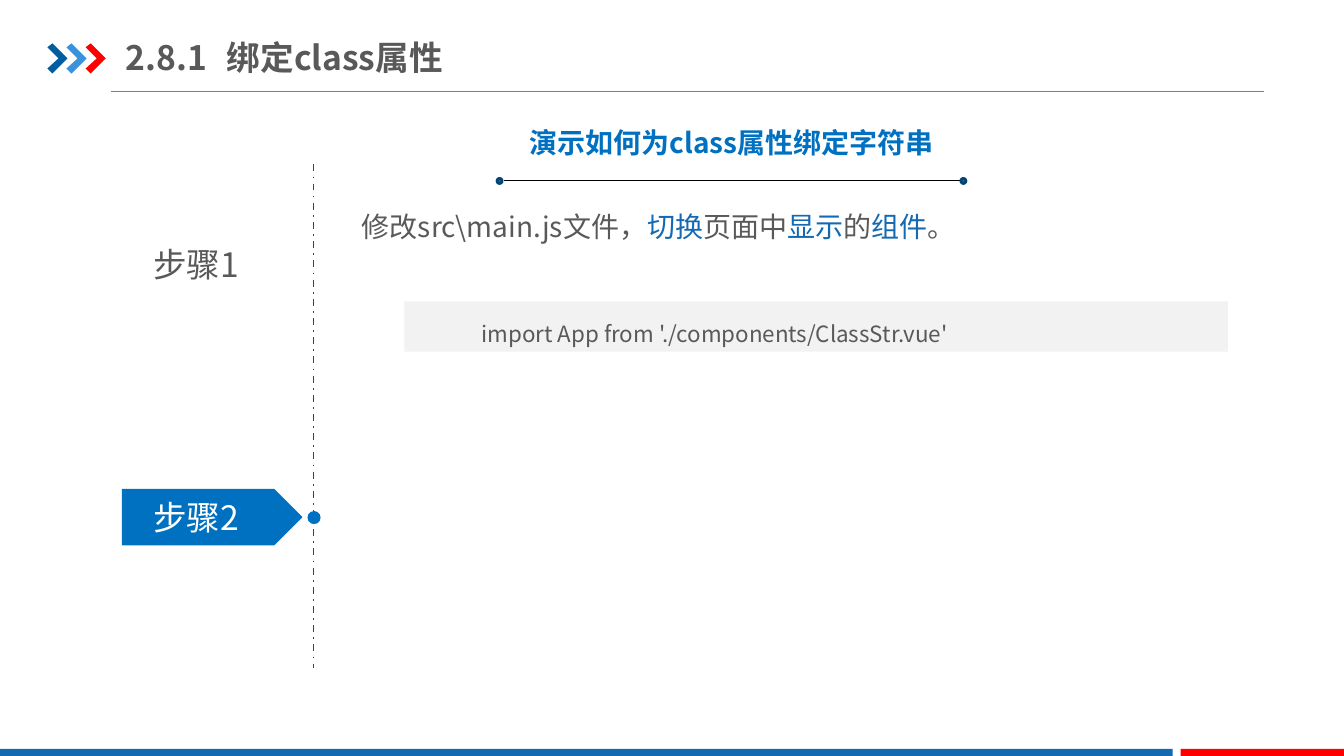
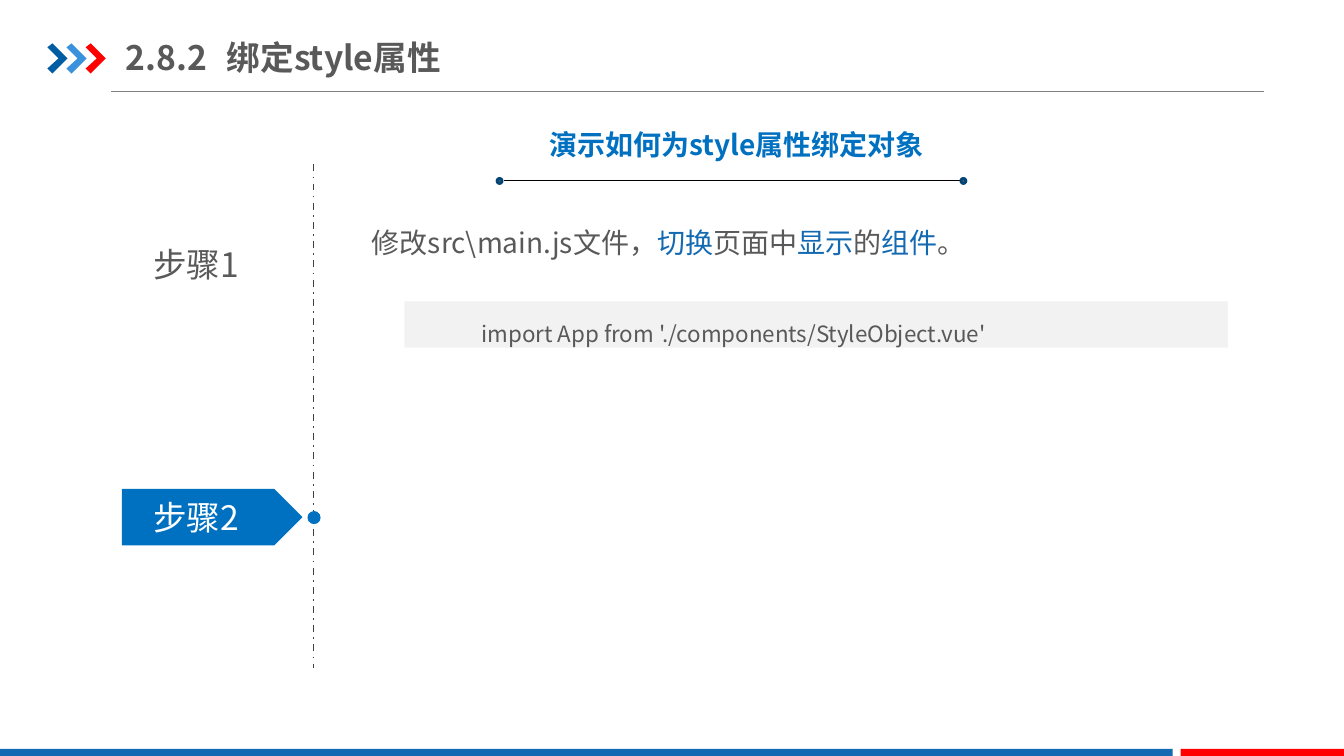
import pptx
import pptx.dml.color
import pptx.enum.dml
import pptx.enum.shapes
import pptx.enum.text
import pptx.oxml
import pptx.oxml.ns
import pptx.util
from lxml import etree

PX = 9144  # EMU in one px, 100 px to the inch
FONT = "Noto Sans CJK SC"

RGB = pptx.dml.color.RGBColor
WHITE = RGB(0xFF, 0xFF, 0xFF)
BLACK = RGB(0x00, 0x00, 0x00)
TEXT_GREY = RGB(0x59, 0x59, 0x59)
RULE_GREY = RGB(0x80, 0x80, 0x80)
TIMELINE_GREY = RGB(0x41, 0x41, 0x46)
CODE_GREY = RGB(0xF2, 0xF2, 0xF2)
NAVY = RGB(0x00, 0x45, 0x78)
DARK_BLUE = RGB(0x00, 0x5D, 0xA2)
LIGHT_BLUE = RGB(0x39, 0x92, 0xDB)
STEP_BLUE = RGB(0x00, 0x70, 0xC0)
ACCENT_BLUE = RGB(0x13, 0x69, 0xB2)
RED = RGB(0xFF, 0x00, 0x00)

SHAPE = pptx.enum.shapes.MSO_SHAPE
ALIGN = pptx.enum.text.PP_ALIGN
ANCHOR = pptx.enum.text.MSO_ANCHOR
DASH_DOT = pptx.enum.dml.MSO_LINE.DASH_DOT
qn = pptx.oxml.ns.qn

# x1, y1, x2, y2, colour, width in points, dash
LINES = [
    (110, 91, 1254, 91, RULE_GREY, 0.75, None),
    (311, 163, 311, 663, TIMELINE_GREY, 1.25, DASH_DOT),
    (500, 179, 952, 179, BLACK, 0.75, None),
]
# preset, left, top, width, height, fill, outline
SHAPES = [
    (SHAPE.RECTANGLE, 0, 743, 1163, 7, ACCENT_BLUE, None),
    (SHAPE.RECTANGLE, 1171, 743, 162, 7, RED, None),
    (SHAPE.OVAL, 305, 507, 13, 13, STEP_BLUE, None),
    (SHAPE.PENTAGON, 121, 485, 179, 56, STEP_BLUE, None),
    (SHAPE.OVAL, 493, 177, 5, 5, TEXT_GREY, NAVY),
    (SHAPE.OVAL, 953, 177, 5, 5, TEXT_GREY, NAVY),
]
CHEVRON = [(0, 47), (5, 43), (20, 58), (5, 73), (0, 68), (11, 58)]
STEPS = [("步骤1", 237, TEXT_GREY), ("步骤2", 488, WHITE)]
BODY = ["修改src\\main.js文件，", "切换", "页面中", "显示", "的", "组件", "。"]

SLIDES = [
    dict(title="2.8.1\t绑定class属性",
         heading="演示如何为class属性绑定字符串", heading_at=(493, 120),
         body_at=(349, 186), code_height=50,
         code="import App from './components/ClassStr.vue'"),
    dict(title="2.8.2\t绑定style属性",
         heading="演示如何为style属性绑定对象", heading_at=(498, 122),
         body_at=(359, 202), code_height=46,
         code="import App from './components/StyleObject.vue'"),
]


def paint(sp, fill, outline=None):
    sp.shadow.inherit = False
    sp.fill.solid()
    sp.fill.fore_color.rgb = fill
    if outline is None:
        sp.line.fill.background()
    else:
        sp.line.color.rgb = outline
        sp.line.width = pptx.util.Pt(2)


def write(tf, runs, size, colour, bold=False, align=ALIGN.LEFT):
    """Fill the first paragraph; every second run takes the accent colour."""
    tf.word_wrap = True
    p = tf.paragraphs[0]
    p.alignment = align
    p.font.size = pptx.util.Pt(size)
    p.font.bold = bold
    p.font.color.rgb = colour
    p.font.name = FONT
    east_asian = etree.SubElement(p._p.pPr.find(qn("a:defRPr")), qn("a:ea"))
    east_asian.set("typeface", FONT)
    for i, text in enumerate(runs):
        r = p.add_run()
        r.text = text
        if i % 2:
            r.font.color.rgb = ACCENT_BLUE
    return p


prs = pptx.Presentation()
prs.slide_width = 1333 * PX
prs.slide_height = 750 * PX

for content in SLIDES:
    s = prs.slides.add_slide(prs.slide_layouts[6])

    for x1, y1, x2, y2, colour, width, dash in LINES:
        line = s.shapes.add_connector(
            pptx.enum.shapes.MSO_CONNECTOR.STRAIGHT,
            x1 * PX, y1 * PX, x2 * PX, y2 * PX)
        line.line.color.rgb = colour
        line.line.width = pptx.util.Pt(width)
        if dash is not None:
            line.line.dash_style = dash
        etree.SubElement(line._element.spPr, qn("a:effectLst"))

    for i, colour in enumerate([DARK_BLUE, LIGHT_BLUE, RED]):
        points = [(47 + 19 * i + x, y) for x, y in CHEVRON]
        outline = s.shapes.build_freeform(*points[0], scale=PX)
        outline.add_line_segments(points[1:], close=True)
        paint(outline.convert_to_shape(), colour)

    for preset, x, y, w, h, fill, outline in SHAPES:
        sp = s.shapes.add_shape(preset, x * PX, y * PX, w * PX, h * PX)
        paint(sp, fill, outline)

    for label, y, colour in STEPS:
        sp = s.shapes.add_textbox(113 * PX, y * PX, 163 * PX, 50 * PX)
        write(sp.text_frame, [label], 24, colour, align=ALIGN.CENTER)

    x, y = content["body_at"]
    sp = s.shapes.add_textbox(x * PX, y * PX, 924 * PX, 55 * PX)
    write(sp.text_frame, BODY, 20, TEXT_GREY).line_spacing = 1.5

    sp = s.shapes.add_shape(SHAPE.RECTANGLE, 401 * PX, 299 * PX,
                            817 * PX, content["code_height"] * PX)
    paint(sp, CODE_GREY)
    sp.text_frame.vertical_anchor = ANCHOR.TOP
    p = write(sp.text_frame, [content["code"]], 16, TEXT_GREY)
    p.line_spacing = 1.5
    p._p.pPr.set("marL", str(67 * PX))
    p._p.pPr.set("indent", "0")

    sp = s.shapes.add_textbox(125 * PX, 29 * PX, 426 * PX, 55 * PX)
    tf = sp.text_frame
    tf.vertical_anchor = ANCHOR.MIDDLE
    tf.margin_left = tf.margin_right = 0
    tf.margin_top = tf.margin_bottom = 7 * PX
    tabs = etree.SubElement(tf.paragraphs[0]._p.get_or_add_pPr(), qn("a:tabLst"))
    etree.SubElement(tabs, qn("a:tab"), pos=str(100 * PX), algn="l")
    write(tf, [content["title"]], 24, TEXT_GREY, bold=True)

    x, y = content["heading_at"]
    sp = s.shapes.add_textbox(x * PX, y * PX, 465 * PX, 44 * PX)
    write(sp.text_frame, [content["heading"]], 20, STEP_BLUE, bold=True,
          align=ALIGN.CENTER)

prs.save("out.pptx")
